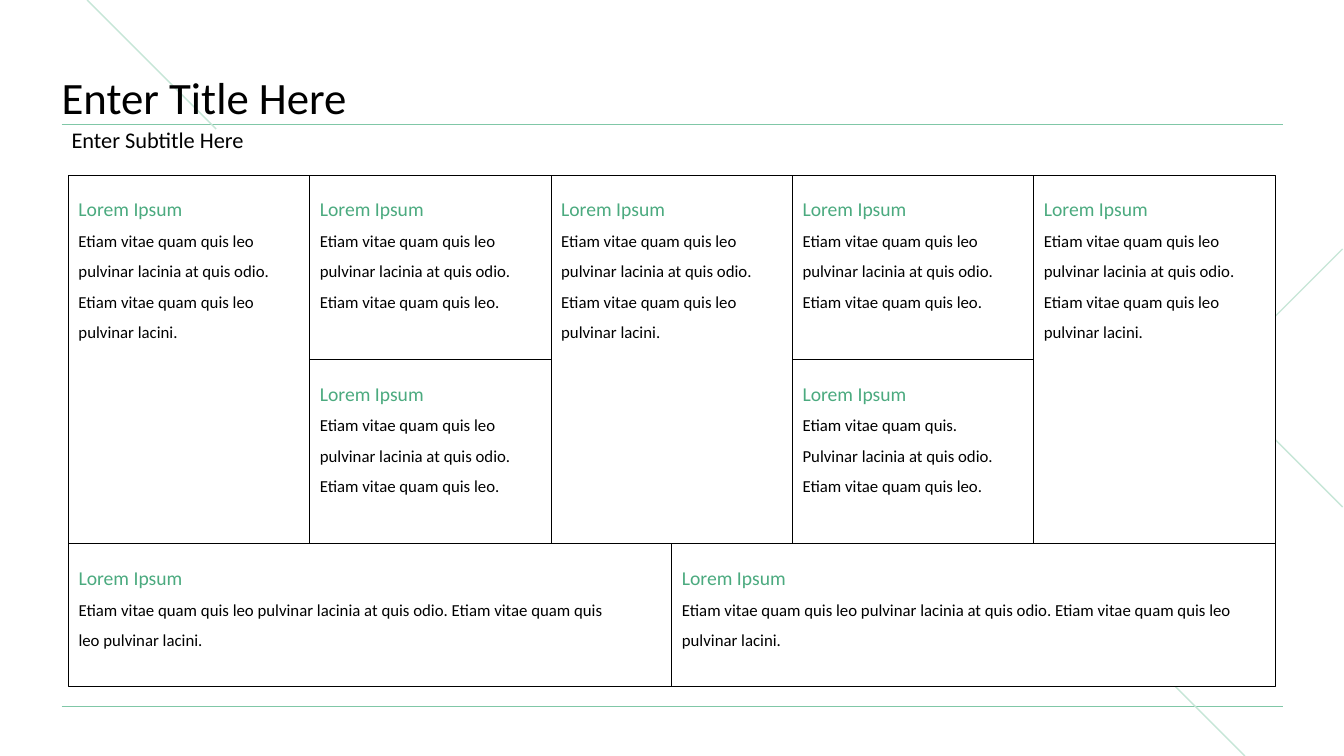
from pptx import Presentation
from pptx.dml.color import RGBColor
from pptx.enum.shapes import MSO_CONNECTOR, MSO_SHAPE
from pptx.enum.text import MSO_ANCHOR, PP_ALIGN
from pptx.oxml import parse_xml
from pptx.util import Pt

STRAIGHT = MSO_CONNECTOR.STRAIGHT
RECTANGLE = MSO_SHAPE.RECTANGLE
LEFT = PP_ALIGN.LEFT
TOP, MIDDLE, BOTTOM = MSO_ANCHOR.TOP, MSO_ANCHOR.MIDDLE, MSO_ANCHOR.BOTTOM

FONT = "Calibri"
COLORS = {
    "rule": "80C7A7",
    "accent": "C6E6D7",
    "heading": "4BAA7F",
    "text": "000000",
    "fill": "FFFFFF",
}
NO_EFFECTS = '<a:effectLst xmlns:a="http://schemas.openxmlformats.org/drawingml/2006/main"/>'

HEADING = "Lorem Ipsum"
LONG = ["Etiam vitae quam quis leo pulvinar lacinia at quis odio. "
        "Etiam vitae quam quis leo pulvinar lacini."]
SHORT = ["Etiam vitae quam quis leo pulvinar lacinia at quis odio. Etiam vitae quam quis leo."]
SPLIT = ["Etiam vitae quam quis.", "Pulvinar lacinia at quis odio. Etiam vitae quam quis leo."]
BROKEN = ["Etiam vitae quam quis leo pulvinar lacinia at quis odio. Etiam vitae quam quis",
          "leo pulvinar lacini."]

# Each column is a stack of equal blocks
COLUMNS = [[LONG], [SHORT, SHORT], [LONG], [SHORT, SPLIT], [LONG]]
BOTTOM_ROW = [BROKEN, LONG]


def color(name):
    return RGBColor.from_string(COLORS[name])


def style_paragraph(para, size, color_name, spacing):
    para.alignment = LEFT
    para.line_spacing = spacing
    for span in para.runs:
        span.font.name = FONT
        span.font.size = Pt(size)
        span.font.color.rgb = color(color_name)


def set_frame(frame, anchor, side, edge):
    frame.word_wrap = True
    frame.vertical_anchor = anchor
    frame.margin_left = frame.margin_right = Pt(side)
    frame.margin_top = frame.margin_bottom = Pt(edge)


def add_line(page, start, end, color_name, weight):
    line = page.shapes.add_connector(STRAIGHT, *map(Pt, start + end))
    line.line.color.rgb = color(color_name)
    line.line.width = Pt(weight)
    line.element.spPr.append(parse_xml(NO_EFFECTS))


def add_backdrop(page, left, top, width, height):
    right, bottom = left + width, top + height
    # Horizontal rules
    for y in (504.7, 88.6):
        add_line(page, (left + 44, top + y), (right - 43.4, top + y), "rule", 0.5)
    # Diagonals, cut at the page edges
    add_line(page, (right - 160, bottom - 89.2), (right - 70.8, bottom), "accent", 1)
    add_line(page, (left + 62.2, top), (left + 154.4, top + 92.2), "accent", 1)
    # Chevron at the right edge
    reach, center = 92.2, top + height / 2
    builder = page.shapes.build_freeform(Pt(right - 1), Pt(center - reach))
    builder.add_line_segments(
        [(Pt(right - 1 - reach), Pt(center)), (Pt(right - 1), Pt(center + reach))], close=False)
    chevron = builder.convert_to_shape()
    chevron.shadow.inherit = False
    chevron.fill.background()
    chevron.line.color.rgb = color("accent")
    chevron.line.width = Pt(1)


def add_header(page, left, top, width, height):
    title_height = 57.2
    # Title, brought in front of the backdrop
    title = page.shapes.title
    title.left, title.top, title.width, title.height = map(Pt, (left, top, width, title_height))
    title.element.getparent().append(title.element)
    title.text_frame.text = "Enter Title Here"
    set_frame(title.text_frame, BOTTOM, 0, 0)
    style_paragraph(title.text_frame.paragraphs[0], 32, "text", 0.9)
    # Subtitle
    subtitle = page.shapes.add_textbox(
        *map(Pt, (left, top + title_height, width, height - title_height)))
    subtitle.text_frame.text = "Enter Subtitle Here"
    set_frame(subtitle.text_frame, MIDDLE, 7.2, 3.6)
    style_paragraph(subtitle.text_frame.paragraphs[0], 16, "text", 0.9)


def add_block(page, left, top, width, height, body):
    block = page.shapes.add_shape(RECTANGLE, *map(Pt, (left, top, width, height)))
    block.shadow.inherit = False
    block.fill.solid()
    block.fill.fore_color.rgb = color("fill")
    block.line.color.rgb = color("text")
    block.line.width = Pt(0.75)
    frame = block.text_frame
    set_frame(frame, TOP, 7.2, 7.2)
    frame.text = "\n".join([HEADING] + body)
    heading, *details = frame.paragraphs
    style_paragraph(heading, 14, "heading", 1.5)
    for para in details:
        style_paragraph(para, 12, "text", 1.5)


def add_canvas(page, left, top, width, height):
    upper_height = 263.2
    # Upper columns
    column_width = width / len(COLUMNS)
    for column, stack in enumerate(COLUMNS):
        block_height = upper_height / len(stack)
        for row, body in enumerate(stack):
            add_block(page, left + column * column_width, top + row * block_height,
                      column_width, block_height, body)
    # Bottom row
    bottom_width = width / len(BOTTOM_ROW)
    for column, body in enumerate(BOTTOM_ROW):
        add_block(page, left + column * bottom_width, top + upper_height,
                  bottom_width, height - upper_height, body)


def main():
    deck = Presentation()
    deck.slide_width, deck.slide_height = Pt(960), Pt(540)
    page = deck.slides.add_slide(deck.slide_layouts.get_by_name("Title Only"))
    add_backdrop(page, 0, 0, 960, 540)
    add_header(page, 44, 31.4, 872.6, 81.7)
    add_canvas(page, 49, 125.3, 862, 364.8)
    deck.save("out.pptx")


if __name__ == "__main__":
    main()
